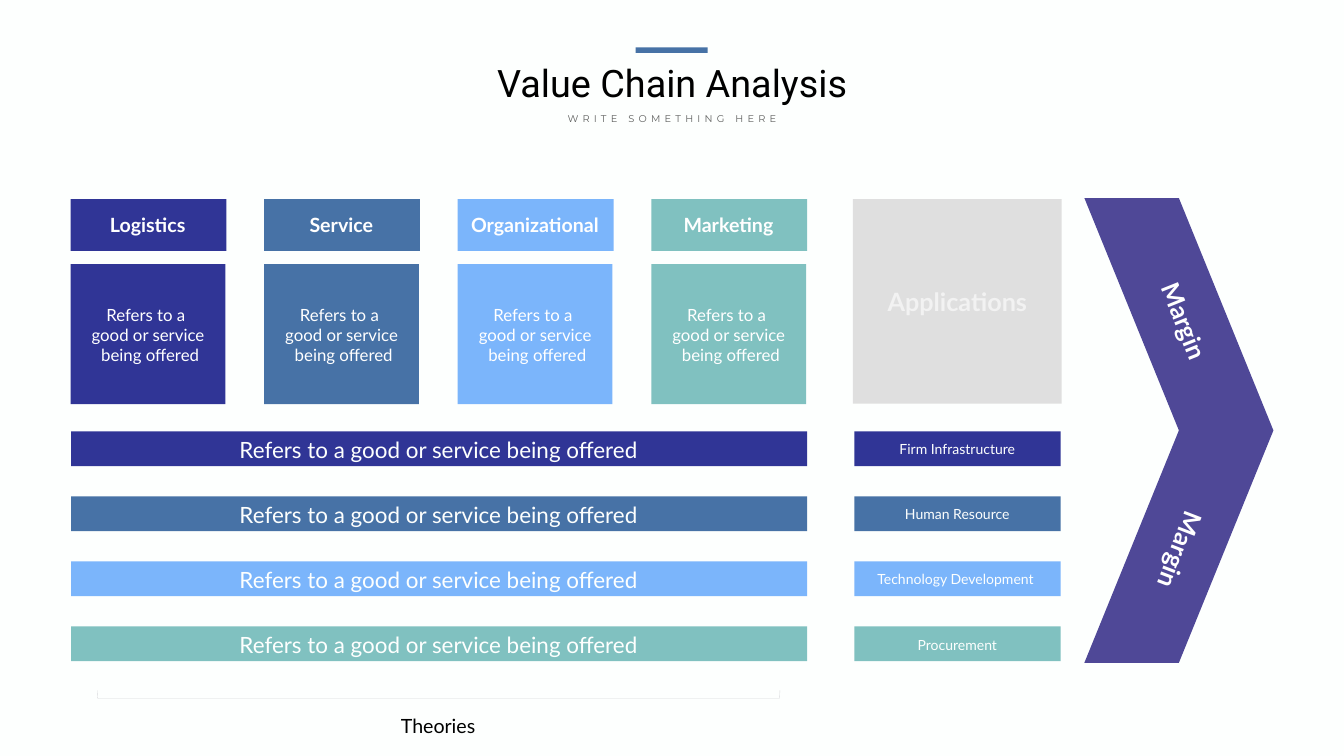
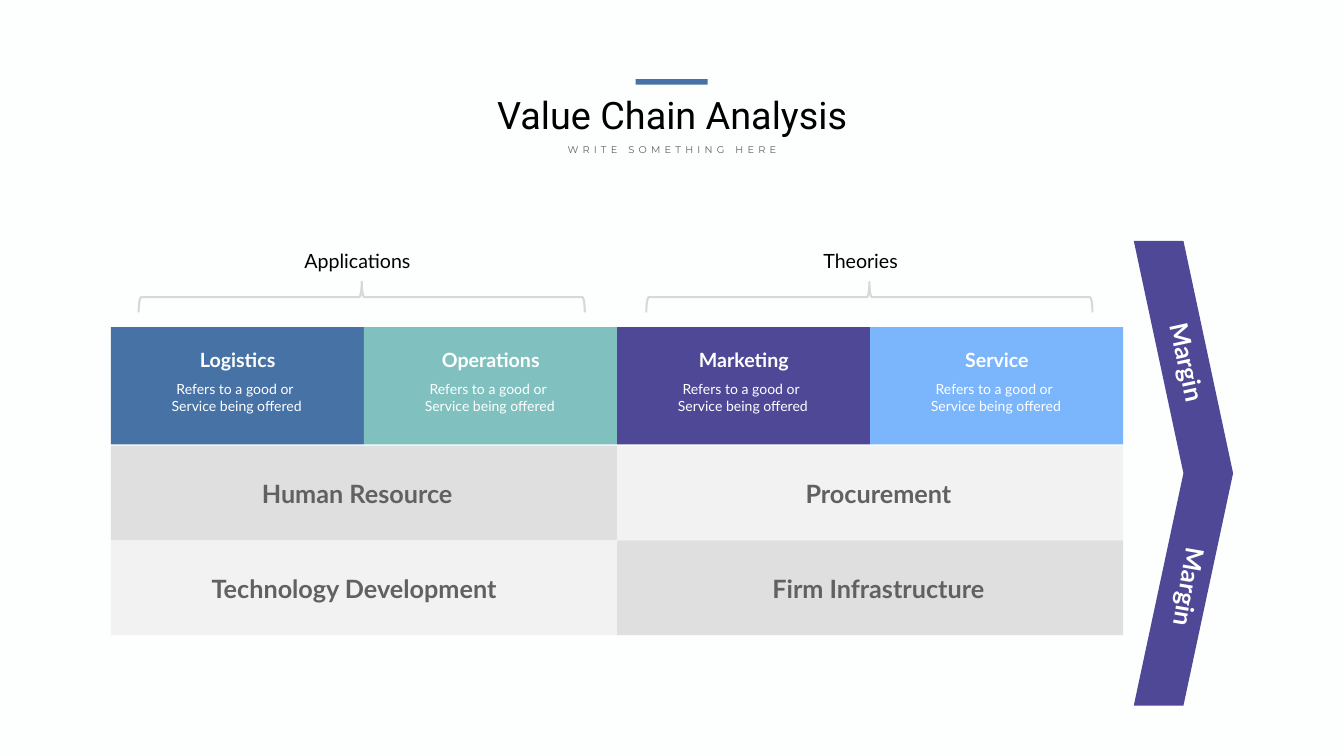
"""Build two value chain analysis slides."""
from dataclasses import dataclass

from pptx import Presentation
from pptx import util as u
from pptx.dml.color import RGBColor
from pptx.enum import shapes, text


@dataclass(frozen=True)
class Theme:
    paper: str = "FDFFFE"
    white: str = "FFFFFF"
    black: str = "000000"
    grey: str = "606160"
    rule: str = "D8D8DB"
    mid: str = "DFDFDF"
    pale: str = "F2F2F2"
    navy: str = "303596"
    steel: str = "4772A6"
    sky: str = "7BB5FB"
    teal: str = "80C1C0"
    plum: str = "4F4897"
    font: str = "Lato"
    title: int = 54
    large: int = 36
    bar: int = 32
    head: int = 28
    body: int = 24
    small: int = 20
    sub: int = 14


look = Theme()
kinds = shapes.MSO_SHAPE


def block(slide, at, fill=None, kind=kinds.RECTANGLE, line=None, turn=0):
    shape = slide.shapes.add_shape(kind, *map(u.Inches, at))
    shape.shadow.inherit = False
    shape.rotation = turn
    if fill:
        shape.fill.solid()
        shape.fill.fore_color.rgb = RGBColor.from_string(fill)
    else:
        shape.fill.background()
    if line:
        shape.line.color.rgb = RGBColor.from_string(look.rule)
        shape.line.width = u.Pt(line)
    else:
        shape.line.fill.background()
    return shape


def label(slide, words, at, size, color, bold=False, font=look.font, turn=0, gap=0, shape=None):
    box = shape or slide.shapes.add_textbox(*map(u.Inches, at))
    box.rotation = turn
    frame = box.text_frame
    frame.word_wrap = True
    if not shape:
        frame.auto_size = text.MSO_AUTO_SIZE.SHAPE_TO_FIT_TEXT
    frame.text = words
    for para in frame.paragraphs:
        para.alignment = text.PP_ALIGN.CENTER
        for run in para.runs:
            run.font.name = font
            run.font.size = u.Pt(size)
            run.font.bold = bold
            run.font.color.rgb = RGBColor.from_string(color)
            if gap:
                run.font._element.set("spc", str(gap * 100))


deck = Presentation()
deck.slide_width = u.Inches(26.66)
deck.slide_height = u.Inches(15)

pages = []
for top in (0.94, 1.57):
    page = deck.slides.add_slide(deck.slide_layouts[6])
    page.background.fill.solid()
    page.background.fill.fore_color.rgb = RGBColor.from_string(look.paper)
    label(page, "Value Chain Analysis", (7.74, top + 0.2, 11.19, 1.01),
          look.title, look.black, font="Roboto")
    label(page, "WRITE SOMETHING HERE", (10.35, top + 1.24, 5.96, 0.34),
          look.sub, look.grey, font="Montserrat", gap=6)
    block(page, (12.61, top, 1.43, 0.11), look.steel)
    pages.append(page)
first, second = pages

hues = (look.navy, look.steel, look.sky, look.teal)
heads = ("Logistics", "Service", "Organizational", "Marketing")
for i, (head, hue) in enumerate(zip(heads, hues)):
    left = 1.4 + 3.84 * i
    block(first, (left, 3.95, 3.09, 1.03), hue)
    block(first, (left, 5.24, 3.07, 2.78), hue)
    label(first, head, (left + 0.16, 4.18, 2.74, 0.55), look.head, look.white, True)
    label(first, "Refers to a \ngood or service\n being offered",
          (left + 0.13, 6, 2.81, 1.26), look.body, look.white)

apps = block(first, (16.92, 3.95, 4.14, 4.06), look.mid)
label(first, "Applications", None, look.large, look.pale, True, shape=apps)

roles = ("Firm Infrastructure", "Human Resource", "Technology Development ", "Procurement")
for i, (role, hue) in enumerate(zip(roles, hues)):
    top = 8.56 + 1.29 * i
    block(first, (1.41, top, 14.6, 0.69), hue)
    label(first, "Refers to a good or service being offered",
          (4.22, top + 0.05, 8.96, 0.61), look.bar, look.paper)
    block(first, (16.95, top, 4.09, 0.69), hue)
    label(first, role, (16.31, top + 0.14, 5.36, 0.42), look.small, look.paper)

block(first, (8.62, 7.01, 0.16, 13.54), kind=kinds.LEFT_BRACKET, line=0.5, turn=270)
label(first, "Theories", (7.32, 14.11, 2.74, 0.55), look.head, look.black)

tiles = (("Logistics", look.steel), ("Operations", look.teal),
         ("Marketing", look.plum), ("Service", look.sky))
for i, (head, hue) in enumerate(tiles):
    left = 2.2 + 5.02 * i
    block(second, (left, 6.49, 5.02, 2.33), hue)
    label(second, head, (left + 1.28, 6.86, 2.47, 0.65), look.head, look.white, True)
    label(second, "Refers to a good or \nService being offered",
          (left + 0.77, 7.5, 3.45, 0.88), look.small, look.white)

panels = (("Human Resource", "Procurement"),
          ("Technology Development ", "Firm Infrastructure"))
for i, row in enumerate(panels):
    for j, name in enumerate(row):
        top = 8.84 + 1.88 * i
        block(second, (2.2 + 10.04 * j, top, 10.04, 1.88),
              look.mid if i == j else look.pale)
        label(second, name, (2.92 + 10.34 * j, top + 0.61, 8.33, 0.71),
              look.large, look.grey, True)

for i, name in enumerate(("Applications", "Theories")):
    block(second, (6.87 + 10.07 * i, 1.47, 0.61, 8.85),
          kind=kinds.LEFT_BRACE, line=3, turn=90)
    label(second, name, (5.7 + 9.98 * i, 4.88, 2.78, 0.57), look.head, look.black)

arrows = (
    (first, (21.51, 3.93, 3.75, 9.22), ((21.61, 6.01, 68.2), (21.53, 10.56, 111))),
    (second, (22.49, 4.78, 1.97, 9.22), ((21.67, 6.83, 77.6), (21.71, 11.3, 99.8))),
)
for page, at, marks in arrows:
    block(page, at, look.plum, kinds.CHEVRON)
    for left, top, turn in marks:
        label(page, "Margin", (left, top, 3.76, 0.71), look.large, look.white, True, turn=turn)

deck.save("out.pptx")
